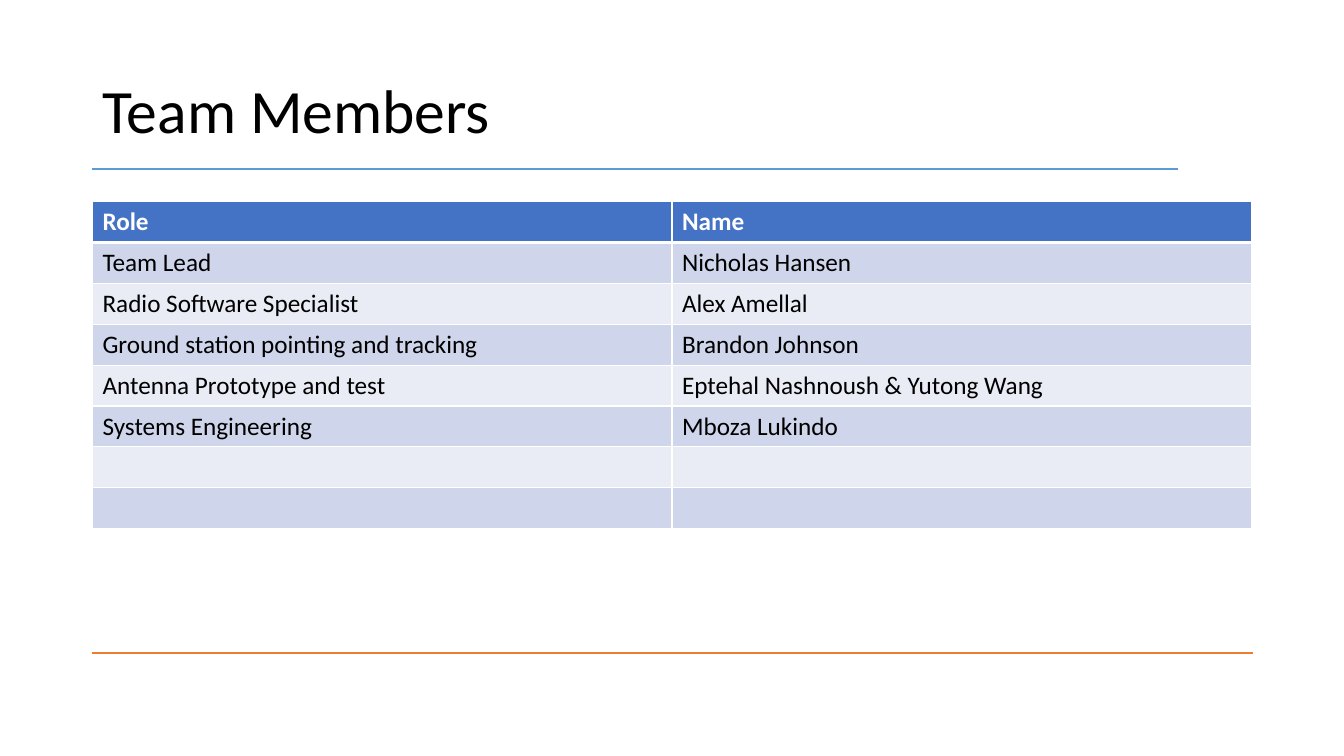
from lxml.etree import SubElement
from pptx import Presentation
from pptx.dml.color import RGBColor
from pptx.enum.shapes import MSO_CONNECTOR
from pptx.enum.text import MSO_ANCHOR
from pptx.oxml.ns import qn
from pptx.util import Cm, Pt

FONT = "Calibri"
BLACK = RGBColor(0x00, 0x00, 0x00)
WHITE = RGBColor(0xFF, 0xFF, 0xFF)
BLUE = RGBColor(0x5B, 0x9B, 0xD5)
ORANGE = RGBColor(0xED, 0x7D, 0x31)
HEADER_FILL = RGBColor(0x44, 0x72, 0xC4)
BAND_FILLS = (RGBColor(0xE9, 0xEB, 0xF5), RGBColor(0xCF, 0xD5, 0xEA))

LEFT = 2.33
WIDTH = 29.21
ROW_HEIGHT = 1.03
TEAM = [
    ("Role", "Name"),
    ("Team Lead", "Nicholas Hansen"),
    ("Radio Software Specialist", "Alex Amellal"),
    ("Ground station pointing and tracking", "Brandon Johnson"),
    ("Antenna Prototype and test", "Eptehal Nashnoush & Yutong Wang"),
    ("Systems Engineering", "Mboza Lukindo"),
    ("", ""),
    ("", ""),
]


def format_font(font, size, color, bold=False):
    font.name = FONT
    font.size = Pt(size)
    font.color.rgb = color
    font.bold = bold


def add_rule(slide, right, top, color):
    rule = slide.shapes.add_connector(
        MSO_CONNECTOR.STRAIGHT, Cm(LEFT), Cm(top), Cm(right), Cm(top)
    )
    rule.line.color.rgb = color
    rule.line.width = Pt(1.5)
    SubElement(rule._element.spPr, qn("a:effectLst"))


def add_title(slide, text):
    title = slide.shapes.add_textbox(Cm(LEFT), Cm(1.01), Cm(WIDTH), Cm(3.68))
    frame = title.text_frame
    frame.word_wrap = True
    frame.vertical_anchor = MSO_ANCHOR.MIDDLE
    frame.text = text
    paragraph = frame.paragraphs[0]
    paragraph.line_spacing = 0.9
    format_font(paragraph.runs[0].font, 44, BLACK)


def add_borders(cell, top, bottom):
    properties = cell._tc.get_or_add_tcPr()
    for side, width in (("L", 1), ("R", 1), ("T", top), ("B", bottom)):
        border = SubElement(properties, qn(f"a:ln{side}"), w=str(Pt(width)))
        fill = SubElement(border, qn("a:solidFill"))
        SubElement(fill, qn("a:srgbClr"), val=str(WHITE))


def format_cell(cell, text, row_index):
    is_header = row_index == 0
    add_borders(cell, 3 if row_index == 1 else 1, 3 if is_header else 1)
    cell.fill.solid()
    cell.fill.fore_color.rgb = HEADER_FILL if is_header else BAND_FILLS[row_index % 2]
    cell.text = text
    for run in cell.text_frame.paragraphs[0].runs:
        format_font(run.font, 18, WHITE if is_header else BLACK, is_header)


def add_team_table(slide, rows):
    table = slide.shapes.add_table(
        len(rows), len(rows[0]), Cm(LEFT), Cm(5.08), Cm(WIDTH), Cm(ROW_HEIGHT * len(rows))
    ).table
    for row_index, texts in enumerate(rows):
        table.rows[row_index].height = Cm(ROW_HEIGHT)
        for column_index, text in enumerate(texts):
            format_cell(table.cell(row_index, column_index), text, row_index)


def main():
    presentation = Presentation()
    presentation.slide_width = Cm(33.87)
    presentation.slide_height = Cm(19.05)
    slide = presentation.slides.add_slide(presentation.slide_layouts[6])
    add_rule(slide, 31.57, 16.46, ORANGE)
    add_rule(slide, 29.68, 4.25, BLUE)
    add_title(slide, "Team Members")
    add_team_table(slide, TEAM)
    presentation.save("out.pptx")


if __name__ == "__main__":
    main()
